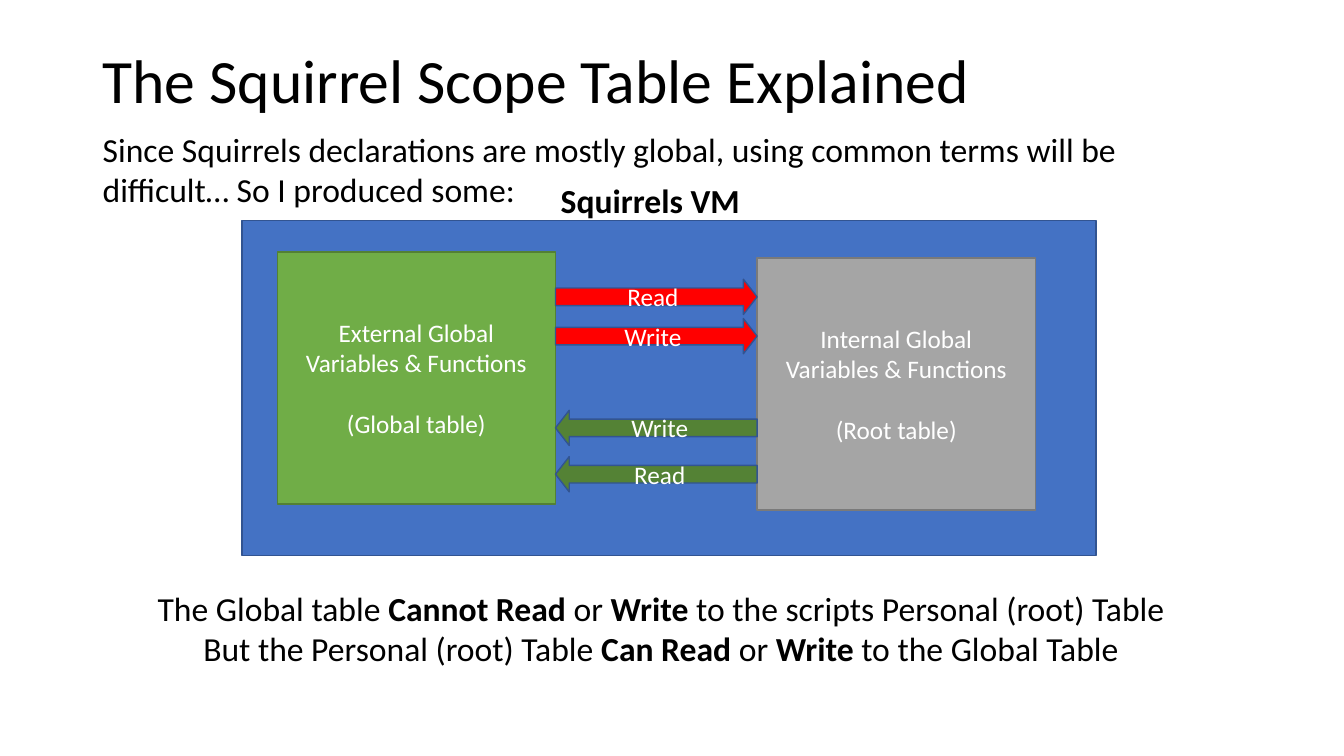
from pptx import Presentation
from pptx.dml.color import RGBColor
from pptx.enum.shapes import MSO_SHAPE
from pptx.enum.text import MSO_ANCHOR, PP_ALIGN
from pptx.util import Inches, Pt

BLACK = RGBColor(0x00, 0x00, 0x00)
WHITE = RGBColor(0xFF, 0xFF, 0xFF)
BLUE = RGBColor(0x44, 0x72, 0xC4)
BLUE_EDGE = RGBColor(0x32, 0x54, 0x91)
GREEN = RGBColor(0x70, 0xAD, 0x47)
GREEN_EDGE = RGBColor(0x53, 0x80, 0x35)
GRAY = RGBColor(0xA5, 0xA5, 0xA5)
GRAY_EDGE = RGBColor(0x7A, 0x7A, 0x7A)
RED = RGBColor(0xFF, 0x00, 0x00)
DARK_GREEN = RGBColor(0x54, 0x82, 0x35)


class SlideBuilder:
    font = "Calibri"

    def __init__(self, slide):
        self.slide = slide

    def set_lines(self, tf, lines, size, color, align, bold=None, spacing=None):
        """Each line is a list of runs; every second run is bold."""
        tf.word_wrap = True
        for i, runs in enumerate(lines):
            p = tf.paragraphs[0] if i == 0 else tf.add_paragraph()
            p.alignment = align
            p.line_spacing = spacing
            p.font.name, p.font.size = self.font, Pt(size)
            p.font.color.rgb, p.font.bold = color, bold
            for j, text in enumerate(runs):
                r = p.add_run()
                r.text = text
                if j % 2:
                    r.font.bold = True

    def text(self, box, lines, size=24, align=PP_ALIGN.LEFT,
             anchor=MSO_ANCHOR.TOP, bold=None, spacing=None):
        tf = self.slide.shapes.add_textbox(*map(Inches, box)).text_frame
        tf.vertical_anchor = anchor
        self.set_lines(tf, lines, size, BLACK, align, bold, spacing)

    def shape(self, kind, box, fill, edge, lines=()):
        sp = self.slide.shapes.add_shape(kind, *map(Inches, box))
        sp.shadow.inherit = False
        sp.fill.solid()
        sp.fill.fore_color.rgb = fill
        sp.line.color.rgb = edge
        sp.line.width = Pt(1)
        sp.text_frame.vertical_anchor = MSO_ANCHOR.MIDDLE
        self.set_lines(sp.text_frame, lines, 18, WHITE, PP_ALIGN.CENTER)
        return sp

    def table_box(self, left, top, fill, edge, scope, name):
        lines = [[f"{scope} Global"], ["Variables & Functions"], [f"({name} table)"]]
        sp = self.shape(MSO_SHAPE.RECTANGLE, (left, top, 2.76, 2.5), fill, edge, lines)
        sp.text_frame.paragraphs[-1].space_before = Pt(22)

    def arrow(self, kind, top, fill, label):
        sp = self.shape(kind, (5.51, top, 2, 0.35), fill, BLUE_EDGE, [[label]])
        sp.adjustments[0], sp.adjustments[1] = 0.5, 0.39


prs = Presentation()
prs.slide_width, prs.slide_height = Inches(13.33), Inches(7.5)
s = SlideBuilder(prs.slides.add_slide(prs.slide_layouts[6]))

# Title and introduction
s.text((0.92, 0.4, 11.5, 0.86), [["The Squirrel Scope Table Explained"]], 44,
       anchor=MSO_ANCHOR.MIDDLE, spacing=0.9)
s.text((0.92, 1.23, 11.27, 0.5),
       [["Since Squirrels declarations are mostly global, using common terms "
         "will be difficult… So I produced some:"]])

# Virtual machine with its two tables
s.text((4.01, 1.58, 4.88, 0.86), [["Squirrels VM"]], align=PP_ALIGN.CENTER,
       anchor=MSO_ANCHOR.MIDDLE, bold=True, spacing=0.9)
s.shape(MSO_SHAPE.RECTANGLE, (2.4, 2.19, 8.47, 3.32), BLUE, BLUE_EDGE)
s.table_box(2.75, 2.5, GREEN, GREEN_EDGE, "External", "Global")
s.table_box(7.51, 2.56, GRAY, GRAY_EDGE, "Internal", "Root")

# Access arrows between the tables
for kind, top, fill, label in (
    (MSO_SHAPE.RIGHT_ARROW, 2.77, RED, "Read"),
    (MSO_SHAPE.RIGHT_ARROW, 3.16, RED, "Write"),
    (MSO_SHAPE.LEFT_ARROW, 4.53, DARK_GREEN, "Read"),
    (MSO_SHAPE.LEFT_ARROW, 4.07, DARK_GREEN, "Write"),
):
    s.arrow(kind, top, fill, label)

# Conclusion
s.text((0.92, 5.78, 11.27, 0.91), [
    ["The Global table ", "Cannot Read", " or ", "Write",
     " to the scripts Personal (root) Table"],
    ["But the Personal (root) Table ", "Can Read ", "or ", "Write",
     " to the Global Table"],
], align=PP_ALIGN.CENTER)

prs.save("out.pptx")
